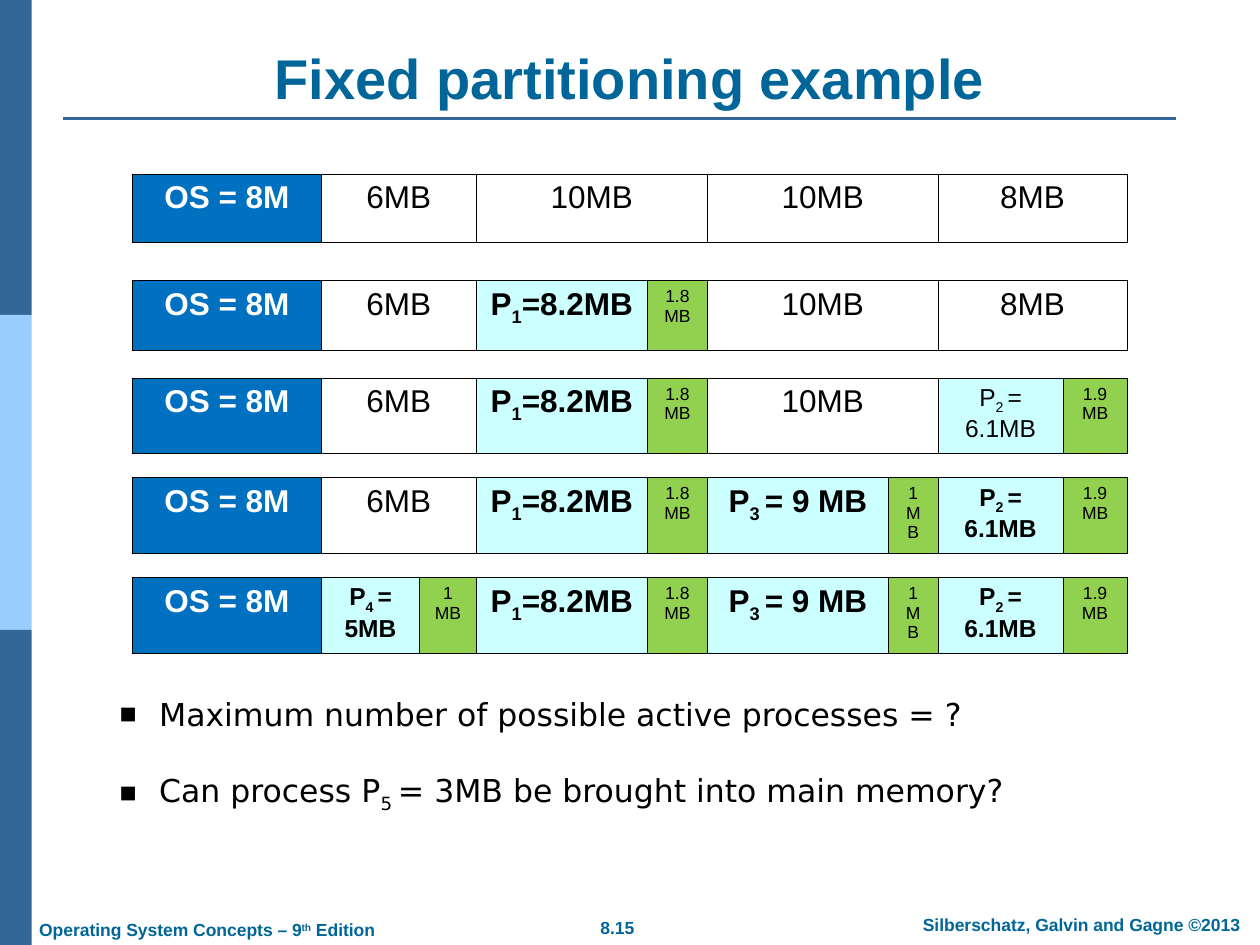
from lxml import etree
from pptx import Presentation
from pptx.dml.color import RGBColor
from pptx.enum import shapes, text
from pptx.oxml import ns
from pptx.util import Cm, Pt

NAVY = RGBColor(0x33, 0x66, 0x99)
SKY = RGBColor(0x99, 0xCC, 0xFF)
TEAL = RGBColor(0x00, 0x66, 0x99)
OS_BLUE = RGBColor(0x00, 0x70, 0xC0)
PROCESS = RGBColor(0xCC, 0xFF, 0xFF)
UNUSED = RGBColor(0x92, 0xD0, 0x50)
WHITE = RGBColor(0xFF, 0xFF, 0xFF)
BLACK = RGBColor(0, 0, 0)

# Cells are (text, width in cm, size, bold, fill); text between "_" is lowered
OS_CELL = ("OS = 8M", 3.81, 18, True, OS_BLUE)
EMPTY_PARTITIONS = [
    ("6MB", 3.12, 18, False, WHITE),
    ("10MB", 4.66, 18, False, WHITE),
    ("10MB", 4.65, 18, False, WHITE),
    ("8MB", 3.81, 18, False, WHITE),
]
P1 = [("P_1_=8.2MB", 3.45, 18, True, PROCESS), ("1.8MB", 1.21, 10, False, UNUSED)]
P2_NEW = [("P_2 _= 6.1MB", 2.52, 14, False, PROCESS), ("1.9 MB", 1.29, 10, False, UNUSED)]
P2 = [("P_2 _= 6.1MB", 2.52, 14, True, PROCESS), ("1.9 MB", 1.29, 10, False, UNUSED)]
P3 = [("P_3 _= 9 MB", 3.65, 18, True, PROCESS), ("1\nMB", 1, 10, False, UNUSED)]
P4 = [("P_4 _=\n5MB", 1.98, 14, True, PROCESS), ("1\nMB", 1.14, 10, False, UNUSED)]

# Each stage: top and height in cm, then the processes held by partition index
STAGES = [
    (3.51, 1.38, {}),
    (5.66, 1.4, {1: P1}),
    (7.62, 1.52, {1: P1, 3: P2_NEW}),
    (9.63, 1.52, {1: P1, 2: P3, 3: P2}),
    (11.64, 1.52, {0: P4, 1: P1, 2: P3, 3: P2}),
]
QUESTIONS = [
    "Maximum number of possible active processes = ?",
    "Can process P_5 _= 3MB be brought into main memory?",
]


def write(paragraph, marked, size, color, bold=False, font="Arial", baseline=-25):
    """Write text whose parts between underscores are shifted off the baseline."""
    for index, part in enumerate(marked.split("_")):
        run = paragraph.add_run()
        run.text = part
        run.font.name = font
        run.font.size = Pt(size)
        run.font.bold = bold
        run.font.color.rgb = color
        if index % 2:
            run._r.get_or_add_rPr().set("baseline", str(baseline * 1000))


def add_side_bar(slide, left, top, width, height):
    band_height = height / 3
    for index, color in enumerate((NAVY, SKY, NAVY)):
        band = slide.shapes.add_shape(
            shapes.MSO_SHAPE.RECTANGLE,
            Cm(left), Cm(top + index * band_height), Cm(width), Cm(band_height))
        band.shadow.inherit = False
        band.fill.solid()
        band.fill.fore_color.rgb = color
        band.line.fill.background()


def add_title(slide, left, top, width, height):
    title = slide.shapes.title
    title.left, title.top, title.width, title.height = map(Cm, (left, top, width, height))
    frame = title.text_frame
    frame.auto_size = text.MSO_AUTO_SIZE.NONE
    frame.vertical_anchor = text.MSO_ANCHOR.BOTTOM
    frame.paragraphs[0].alignment = text.PP_ALIGN.CENTER
    write(frame.paragraphs[0], "Fixed partitioning example", 32, TEAL, bold=True)

    # Rule under the title
    rule_y = Cm(top + height + 0.03)
    rule = slide.shapes.add_connector(
        shapes.MSO_CONNECTOR.STRAIGHT, Cm(left), rule_y, Cm(left + width - 0.43), rule_y)
    rule.line.color.rgb = NAVY
    rule.line.width = Pt(1.5)
    etree.SubElement(rule._element.spPr, ns.qn("a:effectLst"))


def add_borders(cell):
    properties = cell._tc.get_or_add_tcPr()
    for side in ("lnL", "lnR", "lnT", "lnB"):
        line = etree.SubElement(properties, ns.qn("a:" + side), w=str(Pt(0.45)))
        fill = etree.SubElement(line, ns.qn("a:solidFill"))
        etree.SubElement(fill, ns.qn("a:srgbClr"), val=str(BLACK))


def add_memory_row(slide, left, top, height, processes):
    cells = [OS_CELL]
    for index, partition in enumerate(EMPTY_PARTITIONS):
        cells += processes.get(index, [partition])
    total = sum(cell[1] for cell in cells)
    table = slide.shapes.add_table(
        1, len(cells), Cm(left), Cm(top), Cm(total), Cm(height)).table
    table.first_row = table.horz_banding = False
    for index, (label, width, size, bold, fill) in enumerate(cells):
        table.columns[index].width = Cm(width)
        cell = table.cell(0, index)
        add_borders(cell)
        cell.fill.solid()
        cell.fill.fore_color.rgb = fill
        frame = cell.text_frame
        for number, line in enumerate(label.split("\n")):
            paragraph = frame.add_paragraph() if number else frame.paragraphs[0]
            paragraph.alignment = text.PP_ALIGN.CENTER
            write(paragraph, line, size, WHITE if fill == OS_BLUE else BLACK, bold)


def add_questions(slide, left, top, width, height):
    box = slide.shapes.add_textbox(Cm(left), Cm(top), Cm(width), Cm(height))
    frame = box.text_frame
    frame.word_wrap = True
    frame.margin_top = Cm(0.88)
    for index, question in enumerate(QUESTIONS):
        paragraph = frame.add_paragraph() if index else frame.paragraphs[0]
        if index:
            paragraph.space_before = Pt(22)
        # Square bullet with a hanging indent
        properties = paragraph._p.get_or_add_pPr()
        properties.set("marL", str(Cm(0.8)))
        properties.set("indent", str(-Cm(0.8)))
        color = etree.SubElement(properties, ns.qn("a:buClr"))
        etree.SubElement(color, ns.qn("a:srgbClr"), val=str(BLACK))
        etree.SubElement(properties, ns.qn("a:buSzPct"), val="90000")
        etree.SubElement(properties, ns.qn("a:buFont"), typeface="Arial")
        etree.SubElement(properties, ns.qn("a:buChar"), char="■")
        write(paragraph, question, 18, BLACK, font="DejaVu Sans")


def add_footer(slide, top):
    center, left_side = text.PP_ALIGN.CENTER, text.PP_ALIGN.LEFT
    notes = [
        ("8.15", 11.2, 0.08, 2.49, center),
        ("Silberschatz, Galvin and Gagne ©2013", 18.03, 0.02, 7.54, center),
        ("Operating System Concepts – 9_th_ Edition", 0.54, 0.12, 8, left_side),
    ]
    for note, left, drop, width, alignment in notes:
        box = slide.shapes.add_textbox(Cm(left), Cm(top + drop), Cm(width), Cm(0.64))
        box.text_frame.word_wrap = True
        paragraph = box.text_frame.paragraphs[0]
        paragraph.alignment = alignment
        write(paragraph, note, 10, TEAL, bold=True, baseline=30)


def main():
    presentation = Presentation()
    presentation.slide_width, presentation.slide_height = Cm(25.4), Cm(19.05)
    slide = presentation.slides.add_slide(presentation.slide_layouts[5])
    add_side_bar(slide, 0, 0, 0.64, 19.05)
    add_footer(slide, 18.29)
    add_title(slide, 1.27, 0.76, 22.86, 1.6)
    for top, height, processes in STAGES:
        add_memory_row(slide, 2.67, top, height, processes)
    add_questions(slide, 2.16, 13.13, 20.62, 3.4)
    presentation.save("out.pptx")


if __name__ == "__main__":
    main()
